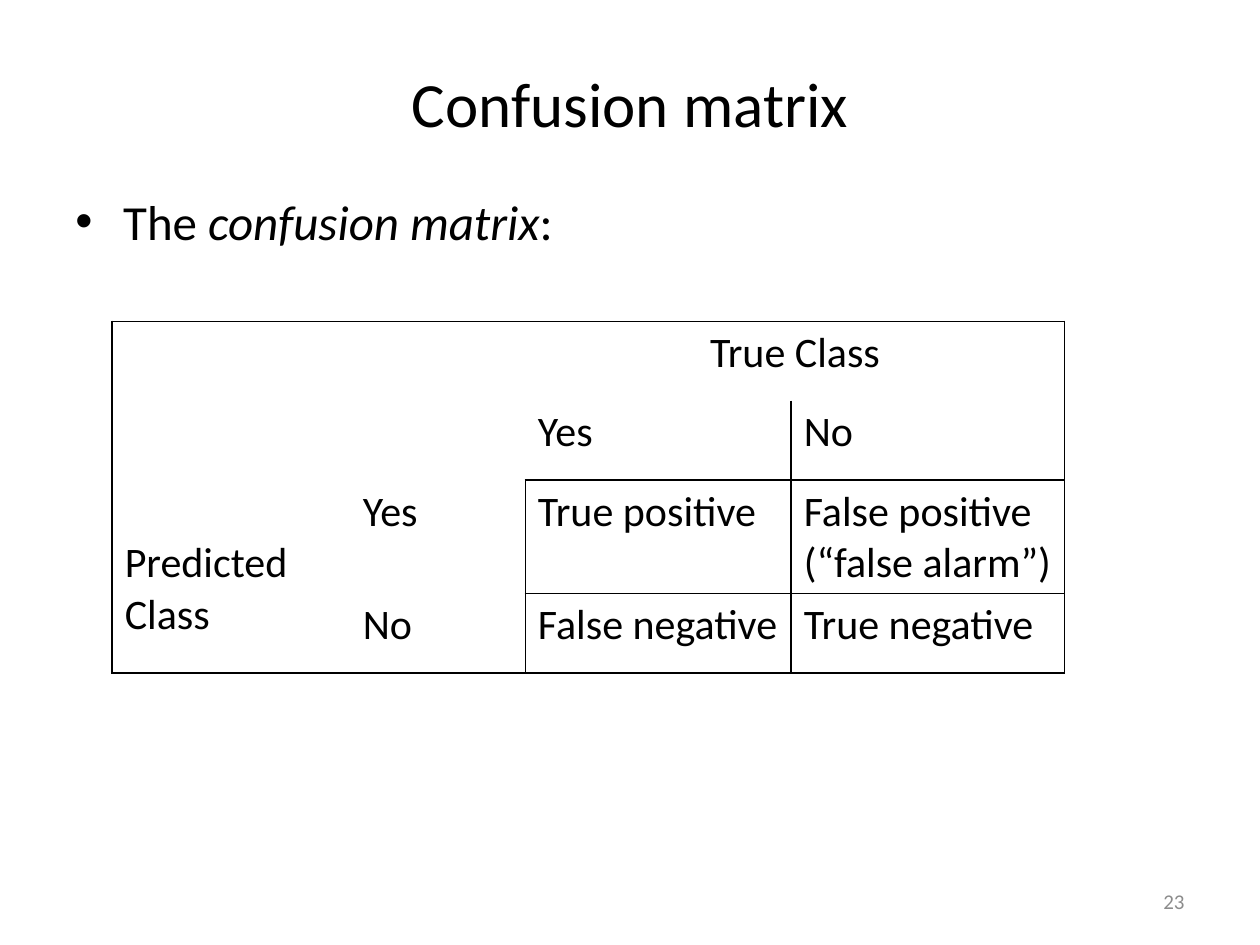
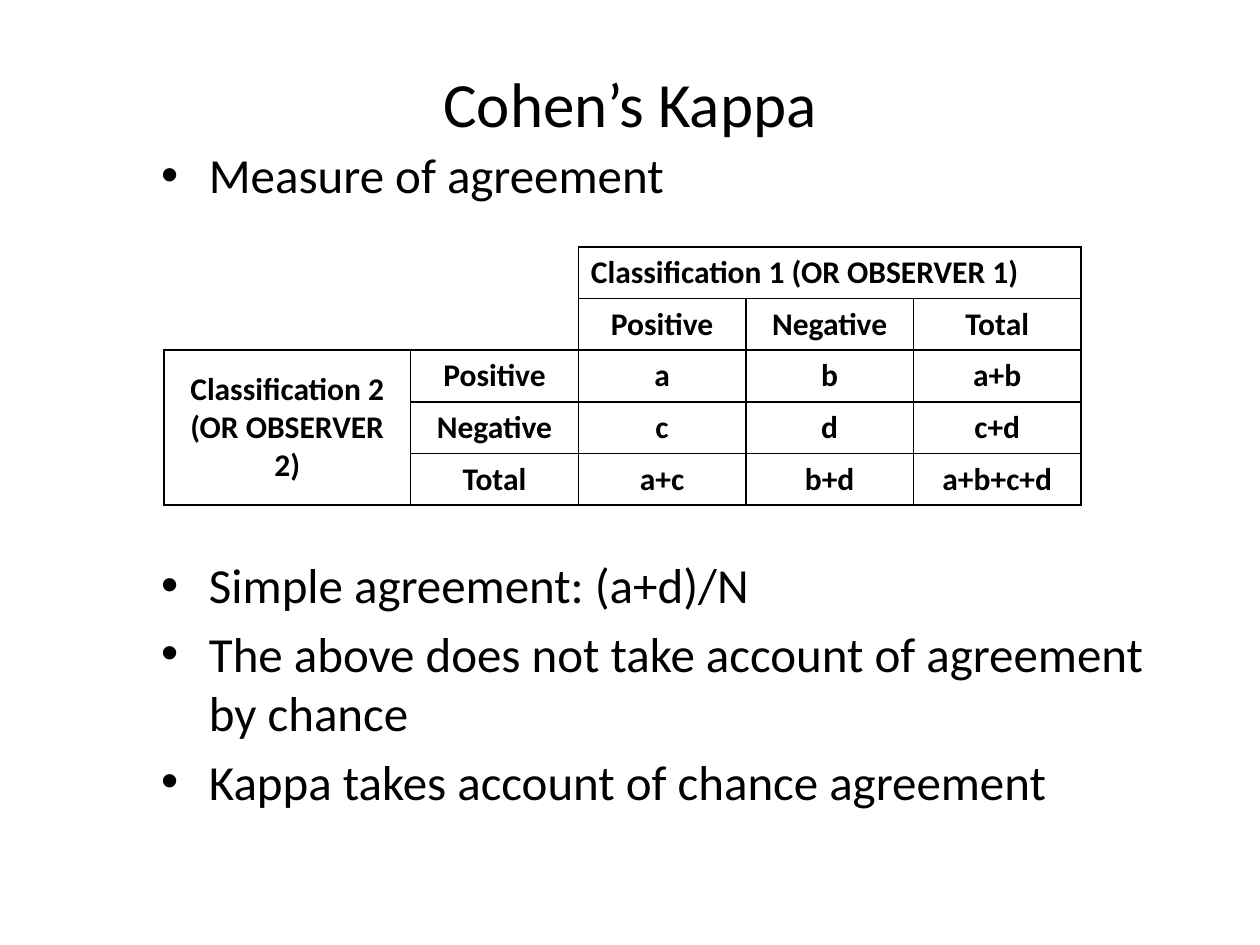
from lxml import etree
from pptx import Presentation
from pptx.dml.color import RGBColor
from pptx.enum import text
from pptx.oxml import ns
from pptx.util import Inches, Pt

BLACK = RGBColor(0, 0, 0)
GREY = RGBColor(0x8C, 0x8C, 0x8C)
FACE = "Calibri"
LEFT, MID, RIGHT = text.PP_ALIGN.LEFT, text.PP_ALIGN.CENTER, text.PP_ALIGN.RIGHT
TOP, CORE = text.MSO_ANCHOR.TOP, text.MSO_ANCHOR.MIDDLE
SIDES = {"l": "lnL", "r": "lnR", "t": "lnT", "b": "lnB"}
ALL = "lrtb"
GAP = 5.6  # points between bullets

# Cells: (text, bordered sides); None is covered by a merged cell
MATRIX = [
    [("", "lt"), ("", "t"), ("True Class", "tr"), None],
    [("", "l"), ("", ""), ("Yes", "rb"), ("No", "lrb")],
    [("Predicted\vClass", "lb"), ("Yes", "r"), ("True positive", ALL),
     ("False positive\v(“false alarm”)", ALL)],
    [None, ("No", "rb"), ("False negative", ALL), ("True negative", ALL)],
]
KAPPA = [
    [("", ""), ("", "r"), ("Classification 1 (OR OBSERVER 1)", ALL), None, None],
    [("", "b"), ("", "rb"), ("Positive", ALL), ("Negative", ALL), ("Total", ALL)],
    [("Classification 2 (OR OBSERVER 2)", ALL), ("Positive", ALL),
     ("a", ALL), ("b", ALL), ("a+b", ALL)],
    [None, ("Negative", ALL), ("c", ALL), ("d", ALL), ("c+d", ALL)],
    [None, ("Total", ALL), ("a+c", ALL), ("b+d", ALL), ("a+b+c+d", ALL)],
]

# Bullets: (space before, runs); a run is (text, italic)
PAGES = [
    dict(title="Confusion matrix", number="23", body=(0.5, 1.47, 9, 5.48),
         points=[(0, [("The ", False), ("confusion matrix", True), (":", False)])],
         grid=dict(cells=MATRIX, at=(0.89, 2.55), cols=(1.89, 1.39, 2.11, 2.17),
                   high=0.63, size=24, bold=False, look=(LEFT, TOP),
                   odd={(0, 2): (MID, TOP)}, spans=[(0, 2, 0, 3), (2, 0, 3, 0)],
                   drop={(2, 0): 0.46})),
    dict(title="Cohen’s Kappa", number="", body=(1.18, 1.1, 8.12, 5.72),
         points=[(0, [("Measure of agreement", False)]),
                 (200.7, [("Simple agreement: (a+d)/N", False)]),
                 (GAP, [("The above does not take account of agreement by chance",
                         False)]),
                 (GAP, [("Kappa takes account of chance agreement", False)])],
         grid=dict(cells=KAPPA, at=(1.3, 1.96), cols=(1.96,) + (1.33,) * 4,
                   high=0.41, size=18, bold=True, look=(MID, CORE),
                   odd={(0, 2): (LEFT, TOP)}, spans=[(0, 2, 0, 4), (2, 0, 4, 0)],
                   drop={})),
]


def style(para, size, color=BLACK, bold=False):
    for run in para.runs:
        for key, val in dict(name=FACE, size=Pt(size), bold=bold).items():
            setattr(run.font, key, val)
        run.font.color.rgb = color


def add_box(slide, spot, anchor):
    frame = slide.shapes.add_textbox(*map(Inches, spot)).text_frame
    frame.word_wrap, frame.vertical_anchor = True, anchor
    return frame


def add_line(slide, spot, words, size, align, color=BLACK):
    para = add_box(slide, spot, CORE).paragraphs[0]
    para.text, para.alignment = words, align
    style(para, size, color)


def add_points(slide, spot, points):
    frame = add_box(slide, spot, TOP)
    for i, (gap, runs) in enumerate(points):
        para = frame.add_paragraph() if i else frame.paragraphs[0]
        if gap:
            para.space_before = Pt(gap)
        props = para._p.get_or_add_pPr()
        props.set("marL", str(Inches(0.38)))
        props.set("indent", str(Inches(-0.38)))
        etree.SubElement(props, ns.qn("a:buFont")).set("typeface", "Arial")
        etree.SubElement(props, ns.qn("a:buChar")).set("char", "•")
        for words, slant in runs:
            run = para.add_run()
            run.text, run.font.italic = words, slant
        style(para, 28)


def set_edges(cell, sides):
    props = cell._tc.get_or_add_tcPr()
    for i, (side, tag) in enumerate(SIDES.items()):
        line = etree.Element(ns.qn("a:" + tag), w=str(Pt(1)))
        if side in sides:
            fill = etree.SubElement(line, ns.qn("a:solidFill"))
            etree.SubElement(fill, ns.qn("a:srgbClr")).set("val", str(BLACK))
        else:
            etree.SubElement(line, ns.qn("a:noFill"))
        props.insert(i, line)


def add_grid(slide, cells, at, cols, high, size, bold, look, odd, spans, drop):
    count = len(cells)
    table = slide.shapes.add_table(
        count, len(cols), *map(Inches, (*at, sum(cols), high * count))).table
    table.first_row = table.horz_banding = False
    for col, wide in zip(table.columns, cols):
        col.width = Inches(wide)
    for row in table.rows:
        row.height = Inches(high)
    # Covered cells take the borders of the cell that covers them
    owner = {(r, c): (top, left) for top, left, low, right in spans
             for r in range(top, low + 1) for c in range(left, right + 1)}
    for top, left, low, right in spans:
        table.cell(top, left).merge(table.cell(low, right))
    for r, row in enumerate(cells):
        for c, item in enumerate(row):
            cell = table.cell(r, c)
            cell.fill.background()
            y, x = owner.get((r, c), (r, c))
            set_edges(cell, cells[y][x][1])
            if item and item[0]:
                para = cell.text_frame.paragraphs[0]
                para.text = item[0]
                para.alignment, cell.vertical_anchor = odd.get((r, c), look)
                style(para, size, bold=bold)
            if (r, c) in drop:
                cell.margin_top = Inches(drop[r, c])


def main():
    deck = Presentation()
    deck.slide_width, deck.slide_height = Inches(10), Inches(7.5)
    for page in PAGES:
        slide = deck.slides.add_slide(deck.slide_layouts[6])
        add_line(slide, (0.5, 0.3, 9, 1.02), page["title"], 36, MID)
        add_points(slide, page["body"], page["points"])
        if page["number"]:
            add_line(slide, (7.17, 6.95, 2.33, 0.4), page["number"], 12, RIGHT, GREY)
        add_grid(slide, **page["grid"])
    deck.save("out.pptx")


if __name__ == "__main__":
    main()
